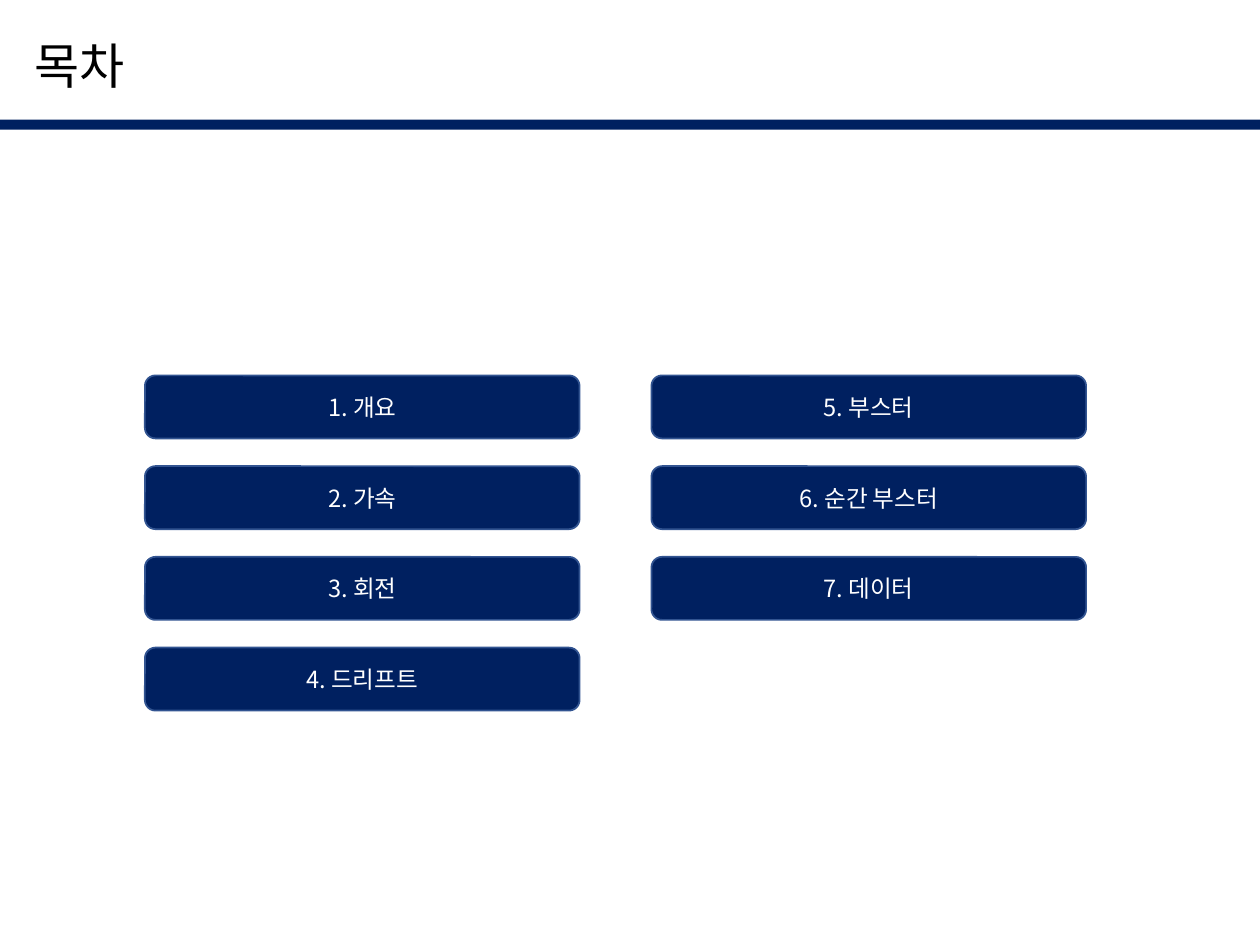
from lxml import etree
from pptx import Presentation
from pptx.dml.color import RGBColor
from pptx.enum.shapes import MSO_SHAPE
from pptx.enum.text import MSO_ANCHOR, MSO_AUTO_SIZE, PP_ALIGN
from pptx.oxml.ns import qn
from pptx.util import Inches, Pt

RECT, ROUNDED = MSO_SHAPE.RECTANGLE, MSO_SHAPE.ROUNDED_RECTANGLE
TOP, MIDDLE = MSO_ANCHOR.TOP, MSO_ANCHOR.MIDDLE
LEFT, CENTER = PP_ALIGN.LEFT, PP_ALIGN.CENTER
FIT_SHAPE = MSO_AUTO_SIZE.SHAPE_TO_FIT_TEXT

COLUMNS = [
    (1.15, ["1. 개요", "2. 가속", "3. 회전", "4. 드리프트"]),
    (5.17, ["5. 부스터", "6. 순간 부스터", "7. 데이터"]),
]
FIRST_TOP, ROW_STEP = 2.98, 0.72


def rgb(color):
    return RGBColor.from_string(color)


class ContentsSlide:
    FONT = "Noto Sans CJK KR"
    NAVY, BORDER, BLACK, WHITE = "002060", "325491", "000000", "FFFFFF"

    def __init__(self, prs):
        self.s = prs.slides.add_slide(prs.slide_layouts[5])

    def set_text(self, tf, text, size, color, align, anchor):
        tf.text = text
        tf.vertical_anchor = anchor
        p = tf.paragraphs[0]
        p.alignment = align
        p.font.size = Pt(size)
        p.font.color.rgb = rgb(color)
        p.font.name = self.FONT
        # Korean text takes its typeface from the East Asian font
        props = p._p.pPr.find(qn("a:defRPr"))
        etree.SubElement(props, qn("a:ea")).set("typeface", self.FONT)

    def title(self, text, x, y, w, h):
        sp = self.s.shapes.title
        sp.left, sp.top, sp.width, sp.height = map(Inches, (x, y, w, h))
        tf = sp.text_frame
        tf.word_wrap = False
        tf.auto_size = FIT_SHAPE
        self.set_text(tf, text, 28, self.BLACK, LEFT, TOP)

    def box(self, kind, x, y, w, h):
        sp = self.s.shapes.add_shape(kind, *map(Inches, (x, y, w, h)))
        sp.shadow.inherit = False
        sp.fill.solid()
        sp.fill.fore_color.rgb = rgb(self.NAVY)
        return sp

    def rule(self, x, y, w, h):
        self.box(RECT, x, y, w, h).line.fill.background()

    def button(self, text, x, y, w=3.45, h=0.5):
        sp = self.box(ROUNDED, x, y, w, h)
        sp.line.color.rgb = rgb(self.BORDER)
        sp.line.width = Pt(1)
        self.set_text(sp.text_frame, text, 13.5, self.WHITE, CENTER, MIDDLE)


def main():
    prs = Presentation()
    prs.slide_width, prs.slide_height = Inches(10), Inches(7.5)
    slide = ContentsSlide(prs)
    slide.rule(0, 0.95, 10, 0.08)
    slide.title("목차", 0.17, 0.23, 0.98, 0.57)
    for x, items in COLUMNS:
        for row, item in enumerate(items):
            slide.button(item, x, FIRST_TOP + row * ROW_STEP)
    prs.save("out.pptx")


if __name__ == "__main__":
    main()
